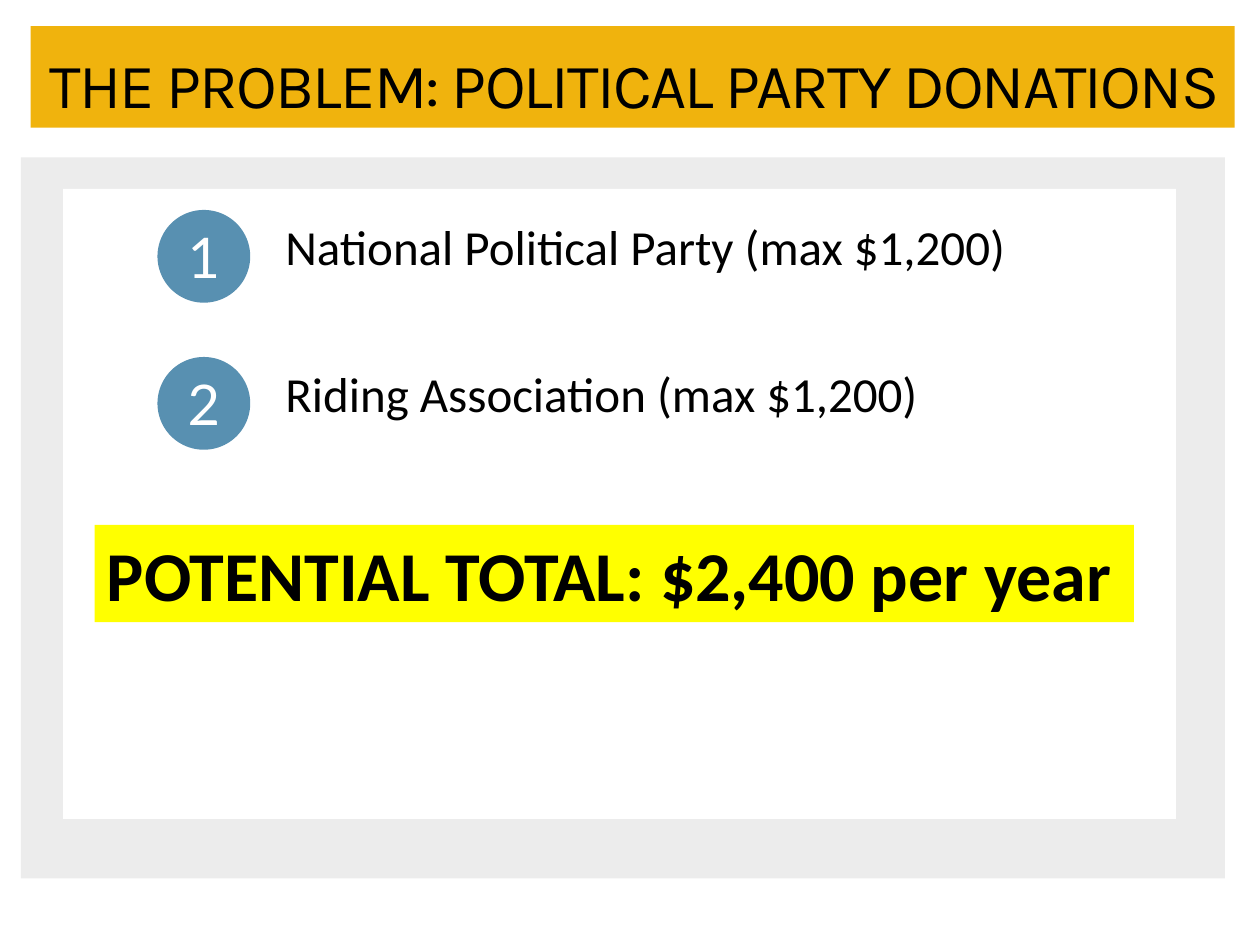
"""Build the slide on the limits of political party donations."""
from dataclasses import dataclass

from pptx import Presentation
from pptx.dml.color import RGBColor
from pptx.enum.shapes import MSO_SHAPE
from pptx.enum.text import MSO_ANCHOR, PP_ALIGN
from pptx.shapes.autoshape import Shape
from pptx.slide import Slide
from pptx.util import Pt

RECT, OVAL = MSO_SHAPE.RECTANGLE, MSO_SHAPE.OVAL
TOP, MIDDLE = MSO_ANCHOR.TOP, MSO_ANCHOR.MIDDLE
LEFT, CENTER = PP_ALIGN.LEFT, PP_ALIGN.CENTER


@dataclass(frozen=True)
class Style:
    font: str
    size: float
    color: str
    bold: bool = False


@dataclass(frozen=True)
class Theme:
    frame: str = "ECECEC"
    panel: str = "FFFFFF"
    banner: str = "F0B30D"
    badge: str = "5890B1"
    total: str = "FFFF00"
    title: Style = Style("Karla", 36, "000000")
    number: Style = Style("Lato", 32, "FFFFFF")
    item: Style = Style("Calibri", 28, "000000")
    sum: Style = Style("Calibri", 40, "000000", True)


@dataclass(frozen=True)
class Box:
    left: float
    top: float
    width: float
    height: float

    def place(self) -> tuple[Pt, Pt, Pt, Pt]:
        """Return the four lengths in points."""
        return Pt(self.left), Pt(self.top), Pt(self.width), Pt(self.height)


@dataclass(frozen=True)
class Item:
    text: str
    width: float


THEME = Theme()
ITEMS = (
    Item("National Political Party (max $1,200)", 456),
    Item("Riding Association (max $1,200)", 378),
)
FIRST, STEP, BADGE = 120, 84, 53


def add_block(slide: Slide, box: Box, color: str, kind: MSO_SHAPE = RECT) -> Shape:
    """Draw a plain filled shape."""
    shape = slide.shapes.add_shape(kind, *box.place())
    shape.shadow.inherit = False
    shape.fill.solid()
    shape.fill.fore_color.rgb = RGBColor.from_string(color)
    shape.line.fill.background()
    return shape


def write(shape: Shape, text: str, style: Style,
          align: PP_ALIGN = LEFT, anchor: MSO_ANCHOR = TOP) -> None:
    """Put one styled line of text in a shape."""
    frame = shape.text_frame
    frame.text = text
    frame.word_wrap = True
    frame.vertical_anchor = anchor
    para = frame.paragraphs[0]
    para.alignment = align
    font = para.runs[0].font
    font.name, font.size, font.bold = style.font, Pt(style.size), style.bold
    font.color.rgb = RGBColor.from_string(style.color)


def add_title(slide: Slide, text: str) -> None:
    """Draw the banner with its tightly spaced title."""
    shape = add_block(slide, Box(17.5, 15, 688, 58), THEME.banner)
    write(shape, text, THEME.title)
    frame = shape.text_frame
    frame.margin_left = frame.margin_top = Pt(10.8)
    para = frame.paragraphs[0]
    para.space_before = Pt(3)
    para.runs[0]._r.get_or_add_rPr().set("spc", "-100")


def add_item(slide: Slide, index: int, item: Item) -> None:
    """Draw a numbered badge and its label."""
    top = FIRST + index * STEP
    badge = add_block(slide, Box(90, top, BADGE, BADGE), THEME.badge, OVAL)
    write(badge, str(index + 1), THEME.number, CENTER, MIDDLE)
    label = slide.shapes.add_textbox(*Box(156, top, item.width, 41).place())
    write(label, item.text, THEME.item)


def main() -> None:
    """Build and save the slide."""
    deck = Presentation()
    deck.slide_width, deck.slide_height = Pt(720), Pt(540)
    slide = deck.slides.add_slide(deck.slide_layouts[6])
    add_block(slide, Box(12, 90, 688, 412), THEME.frame)
    add_block(slide, Box(36, 108, 636, 360), THEME.panel)
    add_title(slide, "THE PROBLEM: POLITICAL PARTY DONATIONS")
    for index, item in enumerate(ITEMS):
        add_item(slide, index, item)
    total = add_block(slide, Box(54, 300, 594, 55.5), THEME.total)
    write(total, "POTENTIAL TOTAL: $2,400 per year", THEME.sum)
    deck.save("out.pptx")


if __name__ == "__main__":
    main()
